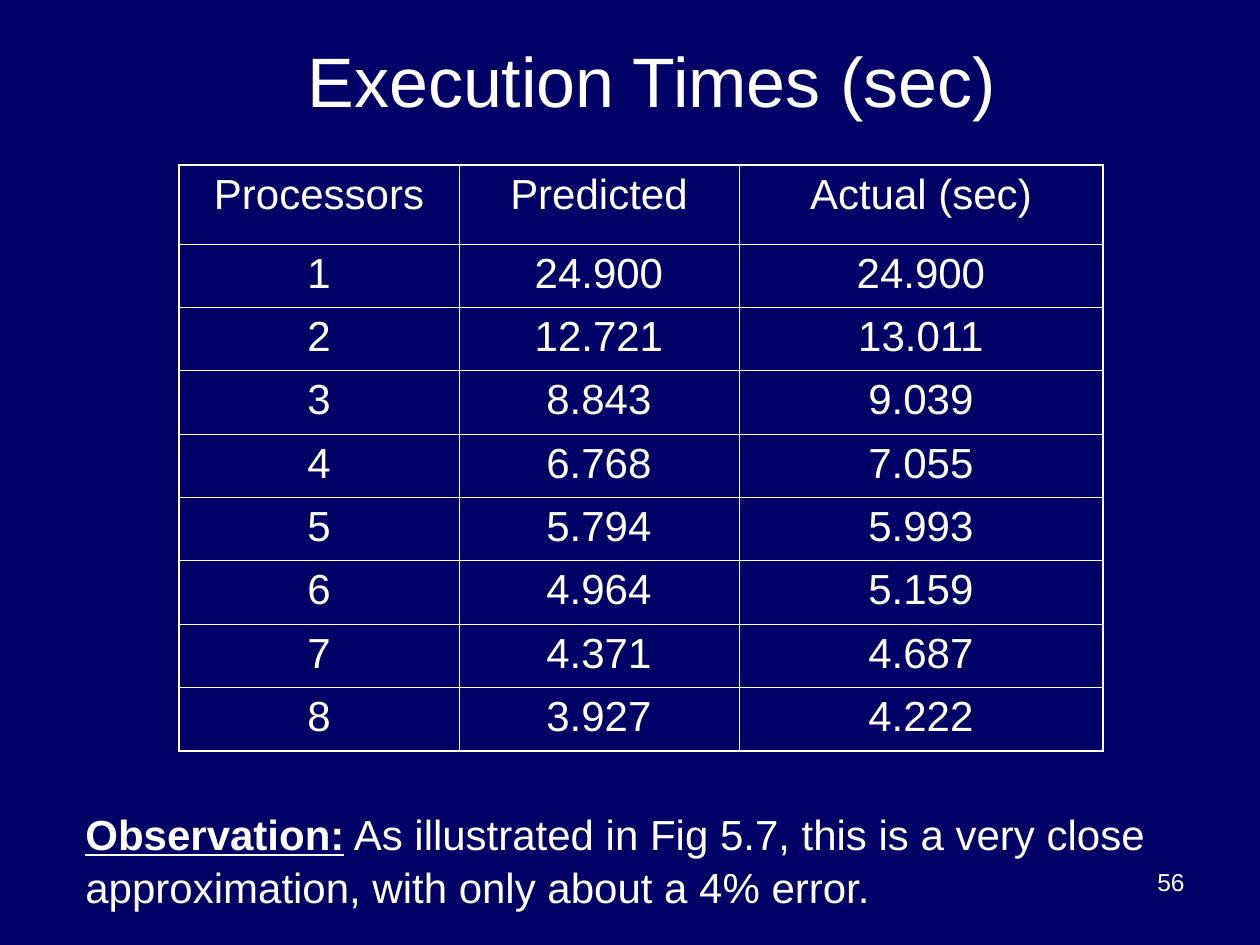
from lxml.etree import SubElement
from pptx import Presentation
from pptx.dml.color import RGBColor
from pptx.enum.text import MSO_ANCHOR as Anchor, PP_ALIGN as Align
from pptx.oxml.ns import qn
from pptx.util import Emu, Pt

PX = 914400 / 126
WHITE, NAVY = "FFFFFF", "000066"


def px(*lengths):
    return [Emu(round(length * PX)) for length in lengths]


def style(para, size, align):
    para.alignment = align
    para.font.name = "Arial"
    para.font.size = Pt(size)
    para.font.color.rgb = RGBColor.from_string(WHITE)


deck = Presentation()
deck.slide_width, deck.slide_height = px(1260, 945)
page = deck.slides.add_slide(deck.slide_layouts[5])
page.background.fill.solid()
page.background.fill.fore_color.rgb = RGBColor.from_string(NAVY)

# Title
title = page.shapes.title
title.left, title.top, title.width, title.height = px(116, 32, 1071, 94)
title.text_frame.text = "Execution Times (sec)"
title.text_frame.vertical_anchor = Anchor.MIDDLE
style(title.text_frame.paragraphs[0], 40, Align.CENTER)

# Table of times
rows = [
    ("Processors", "Predicted", "Actual (sec)"),
    ("1", "24.900", "24.900"),
    ("2", "12.721", "13.011"),
    ("3", "8.843", "9.039"),
    ("4", "6.768", "7.055"),
    ("5", "5.794", "5.993"),
    ("6", "4.964", "5.159"),
    ("7", "4.371", "4.687"),
    ("8", "3.927", "4.222"),
]
widths = [280, 280, 364]
header_height, table_height = 79, 586
body_height = (table_height - header_height) / (len(rows) - 1)
frame = page.shapes.add_table(len(rows), len(widths),
                              *px(179, 165, sum(widths), table_height))
table = frame.table
table.first_row = table.horz_banding = False
for column, width in zip(table.columns, px(*widths)):
    column.width = width

for r, values in enumerate(rows):
    table.rows[r].height = px(body_height if r else header_height)[0]
    for c, value in enumerate(values):
        cell = table.cell(r, c)
        cell.text = value
        style(cell.text_frame.paragraphs[0], 24, Align.CENTER)
        # Thicker lines round the outside, thin ones between cells
        outer = {"lnL": c == 0, "lnR": c == len(widths) - 1,
                 "lnT": r == 0, "lnB": r == len(rows) - 1}
        for side, is_outer in outer.items():
            line = SubElement(cell._tc.get_or_add_tcPr(), qn("a:" + side),
                              w=str(Pt(1.08 if is_outer else 0.45)))
            fill = SubElement(line, qn("a:solidFill"))
            SubElement(fill, qn("a:srgbClr"), val=WHITE)
        cell.fill.background()

# Observation
note = page.shapes.add_textbox(*px(73, 800, 1103, 113))
note.text_frame.word_wrap = True
para = note.text_frame.paragraphs[0]
style(para, 24, Align.LEFT)
para.line_spacing = 1.05
label = para.add_run()
label.text = "Observation:"
label.font.bold = label.font.underline = True
span = para.add_run()
span.text = (" As illustrated in Fig 5.7, this is a very close "
             "approximation, with only about a 4% error.")

# Page number
number = page.shapes.add_textbox(*px(903, 861, 294, 66))
number.text_frame.word_wrap = True
number.text_frame.text = "56"
style(number.text_frame.paragraphs[0], 14, Align.RIGHT)

deck.save("out.pptx")
